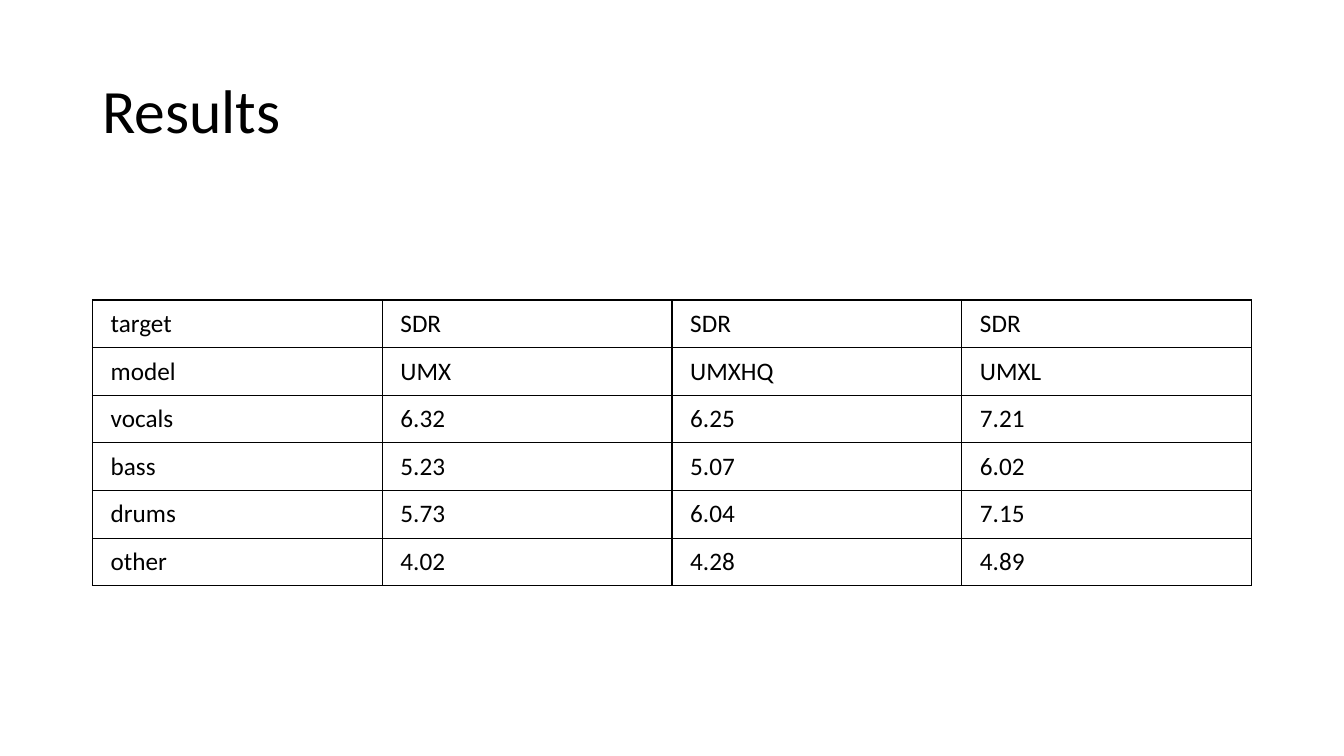
from lxml import etree
from pptx import Presentation
from pptx.dml.color import RGBColor
from pptx.enum.text import MSO_ANCHOR
from pptx.oxml.ns import qn
from pptx.util import Cm, Pt

MIDDLE = MSO_ANCHOR.MIDDLE
COLORS = {"ink": "000000"}
FONT = "Calibri"
BORDER_SIDES = ("lnL", "lnR", "lnT", "lnB")
CELL_FORMAT = {
    "margin_left": Cm(0.46),
    "margin_right": Cm(0.46),
    "margin_top": Cm(0.2),
    "margin_bottom": Cm(0.2),
    "vertical_anchor": MIDDLE,
}
TABLE_FORMAT = {"first_row": False, "horz_banding": False}
TITLE_FORMAT = {"word_wrap": True, "vertical_anchor": MIDDLE}

TITLE_BOX = (Cm(2.33), Cm(1.01), Cm(29.21), Cm(3.68))
TABLE_BOX = (Cm(2.33), Cm(7.56), Cm(29.21), Cm(7.2))
RESULTS = [
    ("target", "SDR", "SDR", "SDR"),
    ("model", "UMX", "UMXHQ", "UMXL"),
    ("vocals", "6.32", "6.25", "7.21"),
    ("bass", "5.23", "5.07", "6.02"),
    ("drums", "5.73", "6.04", "7.15"),
    ("other", "4.02", "4.28", "4.89"),
]


def apply_format(target, values):
    """Set each attribute named in values on the target."""
    for name, value in values.items():
        setattr(target, name, value)


def write_text(para, text, size):
    """Add one styled span of text to a paragraph."""
    span = para.add_run()
    span.text = text
    apply_format(span.font, {"name": FONT, "size": Pt(size)})
    span.font.color.rgb = RGBColor.from_string(COLORS["ink"])


def add_borders(cell):
    """Draw a one-point line on every side of a cell."""
    properties = cell._tc.get_or_add_tcPr()
    for side in BORDER_SIDES:
        line = etree.SubElement(properties, qn(f"a:{side}"), w=str(Pt(1)))
        fill = etree.SubElement(line, qn("a:solidFill"))
        etree.SubElement(fill, qn("a:srgbClr"), val=COLORS["ink"])


def add_title(page, box, text):
    """Place the slide title, centred vertically in its box."""
    frame = page.shapes.add_textbox(*box).text_frame
    apply_format(frame, TITLE_FORMAT)
    para = frame.paragraphs[0]
    para.line_spacing = 0.9
    write_text(para, text, 44)


def add_results_table(page, box, rows):
    """Fill the box with a plain ruled table of equal rows and columns."""
    table = page.shapes.add_table(len(rows), len(rows[0]), *box).table
    apply_format(table, TABLE_FORMAT)
    for row_index, row in enumerate(rows):
        for column_index, text in enumerate(row):
            cell = table.cell(row_index, column_index)
            apply_format(cell, CELL_FORMAT)
            add_borders(cell)
            cell.fill.background()
            write_text(cell.text_frame.paragraphs[0], text, 18)


def build_deck():
    """Create the one-slide deck and save it."""
    deck = Presentation()
    apply_format(deck, {"slide_width": Cm(33.87), "slide_height": Cm(19.05)})
    page = deck.slides.add_slide(deck.slide_layouts[6])
    add_title(page, TITLE_BOX, "Results")
    add_results_table(page, TABLE_BOX, RESULTS)
    deck.save("out.pptx")


build_deck()
